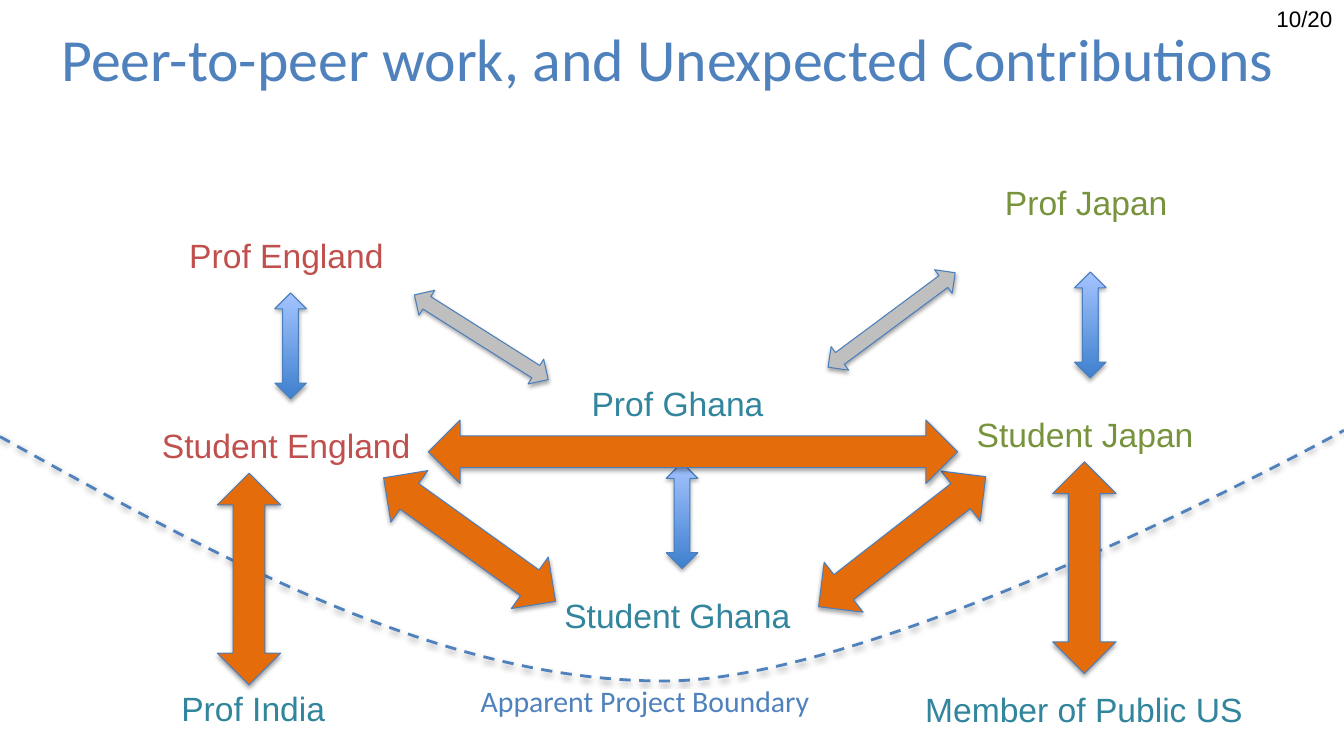
from lxml.etree import SubElement
from pptx import Presentation
from pptx.dml.color import RGBColor
from pptx.enum.dml import MSO_LINE
from pptx.enum.shapes import MSO_SHAPE
from pptx.enum.text import MSO_AUTO_SIZE, PP_ALIGN
from pptx.oxml.ns import qn
from pptx.util import Inches, Pt

COLUMNS, ROWS = 160, 90
BLUE, RED, GREEN, TEAL = "4F81BD", "C0504D", "77933C", "31859C"
GREY, ORANGE, OUTLINE, BLACK = "BFBFBF", "E46C0A", "4B7EBC", "000000"
DEEP_BLUE, PALE_BLUE = "3F80CE", "A4C4FF"


def color(value):
    return RGBColor.from_string(value)


class Diagram:
    """Draws styled elements on one slide, placed on a grid of square cells."""

    def __init__(self, presentation):
        self.slide = presentation.slides.add_slide(presentation.slide_layouts[6])
        self.shapes = self.slide.shapes
        self.cell = presentation.slide_width / COLUMNS

    def length(self, cells):
        return round(cells * self.cell)

    def shadow(self, shape, distance, opacity):
        shape.shadow.inherit = False
        effects = shape._element.spPr.find(qn("a:effectLst"))
        outer = SubElement(effects, qn("a:outerShdw"), blurRad=str(Pt(3.1)),
                           dist=str(Pt(distance)), dir="5400000", rotWithShape="0")
        tint = SubElement(outer, qn("a:srgbClr"), val=BLACK)
        SubElement(tint, qn("a:alpha"), val=str(opacity * 1000))

    def label(self, text, left, top, width, ink, height=6, size=24,
              font="Arial", align=PP_ALIGN.LEFT):
        box = self.shapes.add_textbox(*map(self.length, (left, top, width, height)))
        frame = box.text_frame
        frame.word_wrap = False
        frame.auto_size = MSO_AUTO_SIZE.SHAPE_TO_FIT_TEXT
        paragraph = frame.paragraphs[0]
        paragraph.alignment = align
        run = paragraph.add_run()
        run.text = text
        run.font.name = font
        run.font.size = Pt(size)
        run.font.color.rgb = color(ink)

    def arrow(self, kind, center, width, height, fill=None, rotation=0):
        left, top = center[0] - width / 2, center[1] - height / 2
        shape = self.shapes.add_shape(
            kind, *map(self.length, (left, top, width, height)))
        shape.rotation = rotation
        if fill:
            shape.fill.solid()
            shape.fill.fore_color.rgb = color(fill)
        else:
            shape.fill.gradient()
            shape.fill.gradient_angle = 90
            for stop, tone in zip(shape.fill.gradient_stops, (DEEP_BLUE, PALE_BLUE)):
                stop.color.rgb = color(tone)
        shape.line.color.rgb = color(OUTLINE)
        shape.line.width = Pt(0.75)
        self.shadow(shape, 1.8, 35)

    def dashed_curve(self, points):
        start, *controls = [tuple(map(self.length, point)) for point in points]
        builder = self.shapes.build_freeform(*start)
        builder.add_line_segments(controls, close=False)
        shape = builder.convert_to_shape()
        outline = shape._element.spPr.find(".//" + qn("a:path"))
        segments = outline.findall(qn("a:lnTo"))
        for first in range(0, len(segments), 3):
            curve = SubElement(outline, qn("a:cubicBezTo"))
            for segment in segments[first:first + 3]:
                curve.append(segment[0])
                outline.remove(segment)
        shape.fill.background()
        shape.line.color.rgb = color(BLUE)
        shape.line.width = Pt(2)
        shape.line.dash_style = MSO_LINE.DASH
        self.shadow(shape, 1.6, 38)


def main():
    presentation = Presentation()
    presentation.slide_width = Inches(13.33)
    presentation.slide_height = Inches(7.5)
    diagram = Diagram(presentation)

    diagram.dashed_curve([(0, 52), (26.3, 66.6), (52.7, 81.2), (79.3, 81.1),
                          (106, 81), (COLUMNS, 51.25), (COLUMNS, 51.25)])
    diagram.label("Peer-to-peer work, and Unexpected Contributions", 5.5, 2.05, 148.1,
                  BLUE, 9.85, 42.7, "Calibri", PP_ALIGN.CENTER)

    people = [
        ("Student England", 18.1, 50.05, 32.3, RED),
        ("Student Ghana", 66, 70.2, 29.6, TEAL),
        ("Student Japan", 115.1, 48.7, 28.45, GREEN),
        ("Prof England", 21.35, 27.35, 25.8, RED),
        ("Prof Ghana", 69.25, 45, 23.05, TEAL),
        ("Prof Japan", 118.45, 21.1, 21.95, GREEN),
        ("Prof India", 20.4, 81.35, 19.7, TEAL),
        ("Member of Public US", 108.95, 81.5, 40.55, TEAL),
    ]
    for person in people:
        diagram.label(*person)

    for center in [(34.6, 41.2), (81.2, 61.4), (129.8, 38.7)]:
        diagram.arrow(MSO_SHAPE.UP_DOWN_ARROW, center, 3.75, 12.6)
    for center, rotation in [((57.3, 40.15), 302.3), ((106.15, 38.1), 233.4)]:
        diagram.arrow(MSO_SHAPE.UP_DOWN_ARROW, center, 3.5, 18.85, GREY, rotation)

    peer_links = [
        ((55.9, 64.25), 25.2, 35.7),
        ((107.4, 64.5), 25.2, 322.1),
        ((82.5, 53.8), 63, 0),
        ((29.65, 68.95), 25.2, 270),
        ((129.1, 67.6), 25.2, 270),
    ]
    for center, span, rotation in peer_links:
        diagram.arrow(MSO_SHAPE.LEFT_RIGHT_ARROW, center, span, 7.55, ORANGE, rotation)

    diagram.label("Apparent Project Boundary", 56.05, 80.65, 42.95, BLUE,
                  5.5, 21.3, "Calibri")
    diagram.label("10/20", 150.7, 0, 9.1, BLACK, 4.45, 16, align=PP_ALIGN.RIGHT)
    presentation.save("out.pptx")


if __name__ == "__main__":
    main()
